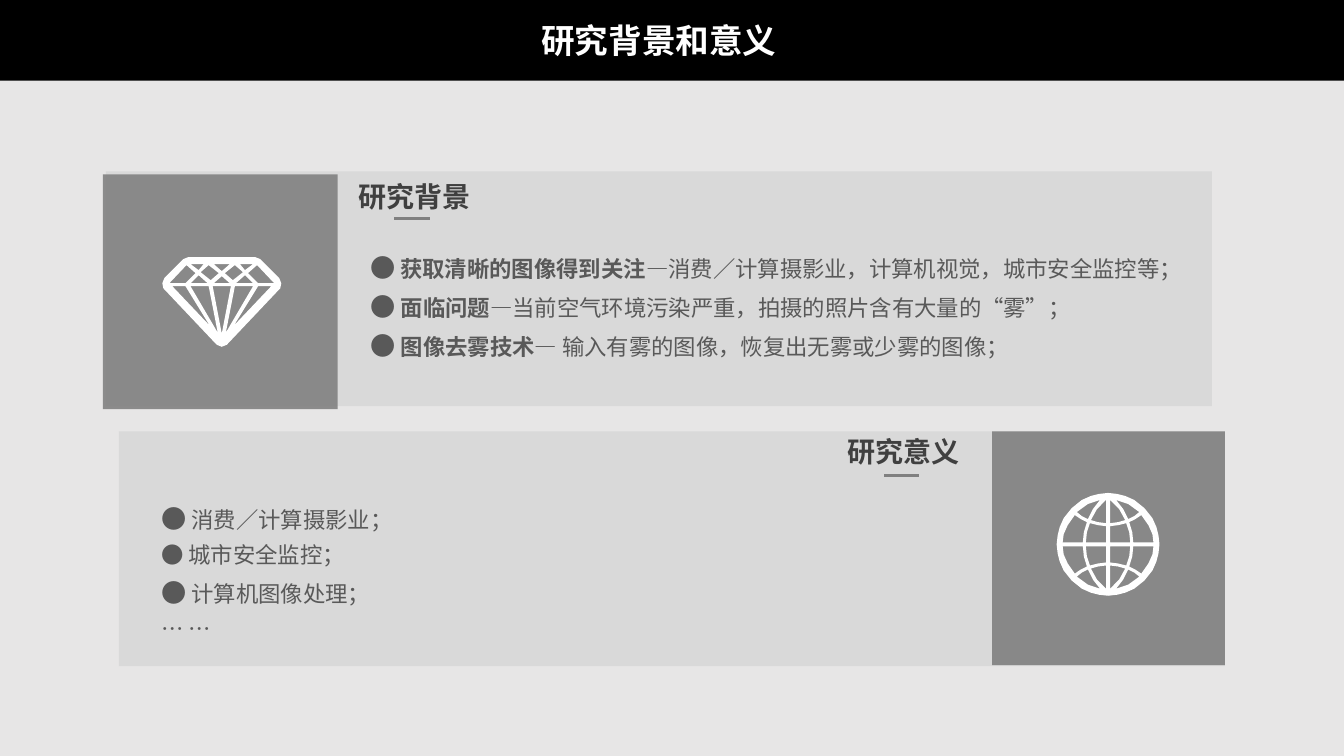
from typing import NamedTuple

from lxml.etree import SubElement
from pptx import Presentation
from pptx.dml.color import RGBColor
from pptx.enum.shapes import MSO_CONNECTOR, MSO_SHAPE
from pptx.enum.text import MSO_ANCHOR, MSO_AUTO_SIZE, PP_ALIGN
from pptx.oxml.ns import qn
from pptx.util import Inches, Pt

BLACK = RGBColor(0x00, 0x00, 0x00)
WHITE = RGBColor(0xFF, 0xFF, 0xFF)
PAGE = RGBColor(0xE7, 0xE6, 0xE6)
PANEL = RGBColor(0xD9, 0xD9, 0xD9)
GRAY = RGBColor(0x80, 0x80, 0x80)
HEADING = RGBColor(0x40, 0x40, 0x40)
BODY = RGBColor(0x59, 0x59, 0x59)
SANS = "Noto Sans CJK SC"

Box = tuple[float, float, float, float]
Contour = list[tuple[float, float]]


class Run(NamedTuple):
    text: str
    size: int = 16
    bold: bool = False


class Card(NamedTuple):
    heading: str
    heading_box: Box
    align: PP_ALIGN
    panel: Box
    tile: Box
    alpha: int
    accent: tuple[float, float]
    list_box: Box
    items: list[list[Run]]


DOT, DOT_SPACE = Run("●", 18), Run("● ", 18)

CARDS = [
    Card("研究背景", (3.46, 1.73, 1.32, 0.44), PP_ALIGN.LEFT,
         (1.05, 1.7, 10.97, 2.33), (1.02, 1.73, 2.33, 2.33), 89,
         (3.91, 2.17), (3.57, 2.36, 8.3, 1.28), [
             [DOT, Run(" "), Run("获取清晰的图像得到关注", bold=True),
              Run("—消费／计算摄影业，计算机视觉，城市安全监控等；")],
             [DOT_SPACE, Run("面临问题", bold=True),
              Run("—当前空气环境污染严重，拍摄的照片含有大量的“雾”；")],
             [DOT_SPACE, Run("图像去雾技术", bold=True),
              Run("— 输入有雾的图像，恢复出无雾或少雾的图像；")],
         ]),
    Card("研究意义", (8.3, 4.26, 1.32, 0.44), PP_ALIGN.RIGHT,
         (1.18, 4.28, 10.97, 2.33), (9.84, 4.28, 2.31, 2.32), 90,
         (8.77, 4.72), (1.5, 4.85, 2.75, 1.6), [
             [DOT, Run(" 消费／计算摄影业；")],
             [Run("● 城市安全监控；")],
             [DOT, Run(" 计算机图像处理；")],
             [Run("… …")],
         ]),
]

# Diamond: offsets from the middle of its top edge
DIAMOND_CENTRAL = [
    [(0, 0.89), (-0.05, 0.87), (-0.58, 0.31), (-0.59, 0.26), (-0.57, 0.21),
     (-0.38, 0.02), (-0.33, 0), (0.33, 0), (0.38, 0.02), (0.57, 0.21),
     (0.59, 0.26), (0.58, 0.31), (0.05, 0.87)],
    [(0, 0.14), (-0.08, 0.07), (0.08, 0.07)],
    [(0.08, 0.26), (-0.08, 0.26), (0, 0.19)],
    [(0.09, 0.29), (0, 0.76), (-0.09, 0.29)],
]
DIAMOND_SIDE = [
    [(0.36, 0.26), (0.26, 0.16), (0.35, 0.08), (0.52, 0.26)],
    [(0.36, 0.29), (0.49, 0.29), (0.12, 0.68)],
    [(0.13, 0.29), (0.31, 0.29), (0.04, 0.75)],
    [(0.14, 0.26), (0.23, 0.18), (0.31, 0.26)],
    [(0.18, 0.07), (0.31, 0.07), (0.23, 0.13)],
    [(0.03, 0.16), (0.13, 0.08), (0.21, 0.15), (0.11, 0.23)],
]

# Globe: cells of one quadrant, as offsets from the centre
GLOBE_QUADRANT = [
    [(0.45, 0.02), (0.25, 0.02), (0.24, 0.12), (0.21, 0.22), (0.27, 0.25),
     (0.33, 0.29), (0.4, 0.19), (0.44, 0.1)],
    [(0.02, 0.02), (0.02, 0.18), (0.1, 0.19), (0.18, 0.21), (0.21, 0.12),
     (0.22, 0.02)],
    [(0.02, 0.44), (0.02, 0.21), (0.1, 0.22), (0.17, 0.24), (0.11, 0.35)],
    [(0.08, 0.44), (0.15, 0.35), (0.2, 0.25), (0.26, 0.28), (0.31, 0.32),
     (0.2, 0.4)],
]
OCTANT = [(0.51, 0), (0.5, 0.09), (0.48, 0.17), (0.44, 0.26), (0.36, 0.36)]


def mirrored(contours: list[Contour], sx: int, sy: int) -> list[Contour]:
    return [[(sx * x, sy * y) for x, y in c] for c in contours]


def globe_contours() -> list[Contour]:
    quarter = OCTANT + [(y, x) for x, y in OCTANT[-2::-1]]
    rim = []
    for _ in range(4):
        rim += quarter[:-1]
        quarter = [(-y, x) for x, y in quarter]
    return [rim] + [cell for sx in (1, -1) for sy in (1, -1)
                    for cell in mirrored(GLOBE_QUADRANT, sx, sy)]


def inches(box: Box) -> list[Inches]:
    return [Inches(v) for v in box]


def paint(sp, color: RGBColor, alpha: int = 100) -> None:
    sp.shadow.inherit = False
    sp.fill.solid()
    sp.fill.fore_color.rgb = color
    sp.line.fill.background()
    if alpha < 100:
        clr = sp._element.spPr.find(qn("a:solidFill"))[0]
        SubElement(clr, qn("a:alpha"), val=str(alpha * 1000))


def add_rect(s, box: Box, color: RGBColor, alpha: int = 100) -> None:
    paint(s.shapes.add_shape(MSO_SHAPE.RECTANGLE, *inches(box)), color, alpha)


def add_icon(s, cx: float, cy: float, contours: list[Contour]) -> None:
    """Draw one freeform whose inner contours are holes."""
    placed = [[(Inches(cx + x), Inches(cy + y)) for x, y in c]
              for c in contours]
    fb = s.shapes.build_freeform(*placed[0][0])
    for i, c in enumerate(placed):
        if i:
            fb.move_to(*c[0])
        fb.add_line_segments(c[1:], close=True)
    paint(fb.convert_to_shape(), WHITE)


def add_accent(s, x: float, y: float) -> None:
    line = s.shapes.add_connector(MSO_CONNECTOR.STRAIGHT,
                                  *inches((x, y, x + 0.35, y)))
    line.line.color.rgb = GRAY
    line.line.width = Pt(2.25)
    SubElement(line._element.spPr, qn("a:effectLst"))


def add_run(p, run: Run, color: RGBColor, name: str = SANS) -> None:
    r = p.add_run()
    r.text = run.text
    fmt = {"size": Pt(run.size), "bold": run.bold, "name": name}
    for key, value in fmt.items():
        setattr(r.font, key, value)
    r.font.color.rgb = color
    SubElement(r._r.rPr, qn("a:ea"), typeface=SANS)


def place(s, ph, box: Box, anchor: MSO_ANCHOR) -> None:
    """Move a placeholder to its box and in front of what is drawn so far."""
    for key, value in zip(("left", "top", "width", "height"), inches(box)):
        setattr(ph, key, value)
    fmt = {"word_wrap": True, "auto_size": MSO_AUTO_SIZE.NONE,
           "vertical_anchor": anchor}
    for key, value in fmt.items():
        setattr(ph.text_frame, key, value)
    s.shapes._spTree.append(ph._element)


def add_card(s, card: Card, body) -> None:
    add_rect(s, card.panel, PANEL)
    add_rect(s, card.tile, GRAY, card.alpha)
    tf = s.shapes.add_textbox(*inches(card.heading_box)).text_frame
    tf.word_wrap = False
    tf.auto_size = MSO_AUTO_SIZE.SHAPE_TO_FIT_TEXT
    tf.paragraphs[0].alignment = card.align
    add_run(tf.paragraphs[0], Run(card.heading, 20, True), HEADING)
    add_accent(s, *card.accent)

    place(s, body, card.list_box, MSO_ANCHOR.TOP)
    tf = body.text_frame
    for i, item in enumerate(card.items):
        p = tf.add_paragraph() if i else tf.paragraphs[0]
        p.line_spacing = 1.3
        p.space_before = Pt(0)
        pPr = p._p.get_or_add_pPr()
        pPr.set("marL", "0")
        pPr.set("indent", "0")
        SubElement(pPr, qn("a:buNone"))
        for run in item:
            add_run(p, run, BODY)


def main() -> None:
    prs = Presentation()
    prs.slide_width, prs.slide_height = Inches(13.33), Inches(7.5)
    s = prs.slides.add_slide(prs.slide_layouts[3])
    s.background.fill.solid()
    s.background.fill.fore_color.rgb = PAGE
    title, *bodies = s.placeholders

    add_rect(s, (0, 0, 13.33, 0.8), BLACK)
    place(s, title, (5.24, 0.14, 2.59, 0.56), MSO_ANCHOR.MIDDLE)
    p = title.text_frame.paragraphs[0]
    p.alignment = PP_ALIGN.CENTER
    p.line_spacing = 0.9
    add_run(p, Run("研究背景和意义", 24, True), WHITE, "Times New Roman")

    for card, body in zip(CARDS, bodies):
        add_card(s, card, body)
    add_icon(s, 2.2, 2.55, DIAMOND_CENTRAL + DIAMOND_SIDE
             + mirrored(DIAMOND_SIDE, -1, 1))
    add_icon(s, 10.99, 5.4, globe_contours())
    prs.save("out.pptx")


if __name__ == "__main__":
    main()
